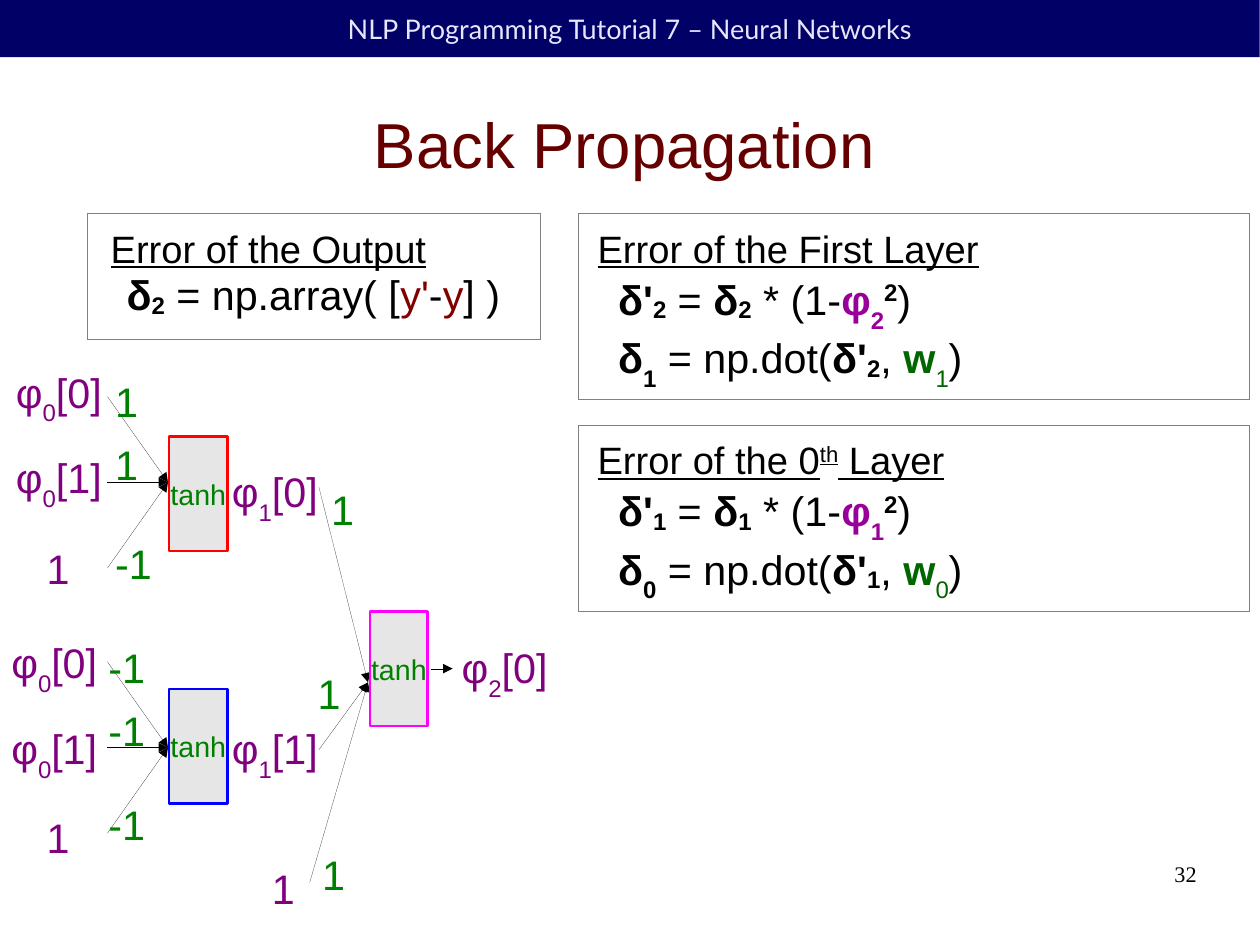
from lxml.etree import SubElement
from pptx import Presentation
from pptx.dml.color import RGBColor
from pptx.enum.shapes import MSO_CONNECTOR, MSO_SHAPE
from pptx.enum.text import MSO_ANCHOR, MSO_AUTO_SIZE, PP_ALIGN
from pptx.oxml.ns import qn
from pptx.util import Cm, Pt

PX = 9144
HUES = {
    "navy": "000066", "pale": "E6E6FF", "wine": "660000", "black": "000000",
    "gray": "808080", "light": "E6E6E6", "purple": "800080", "green": "008000",
    "violet": "990099", "forest": "006600", "maroon": "800000",
    "red": "FF0000", "blue": "0000FF", "pink": "FF00FF",
}
RGB = {name: RGBColor.from_string(code) for name, code in HUES.items()}

deck = Presentation()
deck.slide_width, deck.slide_height = Cm(28), Cm(21)
slide = deck.slides.add_slide(deck.slide_layouts[6])
shapes = slide.shapes


def write(spot, runs, size=26, hue="black", font="Arial", pad=(10, 5), shape=None,
          align=PP_ALIGN.LEFT, anchor=MSO_ANCHOR.TOP, wrap=False, grow=True):
    box = shape or shapes.add_textbox(*[n * PX for n in spot])
    frame = box.text_frame
    side, edge = pad[0] * PX, pad[1] * PX
    look = {
        "margin_left": side, "margin_right": side,
        "margin_top": edge, "margin_bottom": edge,
        "vertical_anchor": anchor, "word_wrap": wrap,
        "auto_size": MSO_AUTO_SIZE.SHAPE_TO_FIT_TEXT if grow else MSO_AUTO_SIZE.NONE,
    }
    for key, value in look.items():
        setattr(frame, key, value)
    line = frame.paragraphs[0]
    line.alignment = align
    for text, base, style in runs:
        run = line.add_run()
        run.text = text
        words = style.split()
        form = {"name": font, "size": Pt(size), "bold": "b" in words, "underline": "u" in words}
        for key, value in form.items():
            setattr(run.font, key, value)
        tint = [name for name in words if name in RGB]
        run.font.color.rgb = RGB[tint[0] if tint else hue]
        if base:
            run.font._element.set("baseline", str(base * 1000))


def block(spot, fill=None, edge=None, width=0):
    box = shapes.add_shape(MSO_SHAPE.RECTANGLE, *[n * PX for n in spot])
    box.shadow.inherit = False
    if fill:
        box.fill.solid()
        box.fill.fore_color.rgb = RGB[fill]
    else:
        box.fill.background()
    if edge:
        box.line.color.rgb = RGB[edge]
        box.line._get_or_add_ln().set("w", str(Pt(width)))
    else:
        box.line.fill.background()
    return box


bar = block((0, 0, 1102, 50), "navy")
write(None, [("NLP Programming Tutorial 7 – Neural Networks", 0, "")], 17, "pale", "Lato",
      shape=bar, align=PP_ALIGN.CENTER, anchor=MSO_ANCHOR.MIDDLE, wrap=True, grow=False)
write((50, 62, 992, 127), [("Back Propagation", 0, "")], 40, "wine", pad=(0, 0),
      align=PP_ALIGN.CENTER, anchor=MSO_ANCHOR.MIDDLE, wrap=True, grow=False)

wires = [(279, 656, 322, 597), (279, 426, 322, 597), (271, 772, 322, 597),
         (377, 585, 396, 585)]
for mid in (422, 654):
    wires += [(94, mid + step, 147, mid) for step in (-75, 0, 75)]
for x, y, right, low in wires:
    wire = shapes.add_connector(MSO_CONNECTOR.STRAIGHT, x * PX, y * PX, right * PX, low * PX)
    wire.line.color.rgb = RGB["black"]
    stroke = wire.line._get_or_add_ln()
    stroke.set("w", "0")
    SubElement(stroke, qn("a:tailEnd"), type="triangle")
    SubElement(wire._element.spPr, qn("a:effectLst"))

for x, y, wide, edge in [(148, 382, 51, "red"), (148, 603, 51, "blue"), (324, 535, 50, "pink")]:
    node = block((x, y, wide, 100), "light", edge, 1.45)
    write(None, [("tanh", 0, "")], 18, "green", pad=(11, 6), shape=node,
          align=PP_ALIGN.CENTER, anchor=MSO_ANCHOR.MIDDLE, grow=False)

for x, y, layer, item in [(4, 316, 0, 0), (4, 391, 0, 1), (0, 553, 0, 0), (0, 628, 0, 1),
                          (193, 403, 1, 0), (193, 628, 1, 1), (394, 557, 2, 0)]:
    write((x, y, 95, 62), [("φ", 0, ""), (str(layer), -33, ""), (f"[{item}]", 0, "")],
          hue="purple")

for x, y in [(31, 470), (31, 706), (228, 750)]:
    write((x, y, 40, 50), [("1", 0, "")], hue="purple")

for x, y, weight in [(91, 324, 1), (91, 379, 1), (91, 466, -1),
                     (85, 557, -1), (85, 612, -1), (85, 694, -1),
                     (268, 580, 1), (280, 419, 1), (272, 738, 1)]:
    write((x, y, 40 if weight > 0 else 52, 50), [(str(weight), 0, "")], hue="green")

block((77, 187, 396, 110), edge="gray")
write((87, 192, 296, 49), [("Error of the Output", 0, "u")], 24)
write((101, 231, 367, 62), [
    ("δ", 0, "b"), ("2", -8, "b"), (" = np.array( [", 0, ""), ("y'", 0, "maroon"),
    ("-", 0, ""), ("y", 0, "maroon"), ("] )", 0, "")])

first = [("Error of the First Layer", 0, "u")]
zeroth = [("Error of the 0", 0, "u"), ("th", 33, "u"), (" Layer", 0, "u")]
for top, head, wide, now, prev in [(187, first, 362, "2", "1"), (372, zeroth, 337, "1", "0")]:
    block((506, top, 587, 163), edge="gray")
    write((513, top + 5, wide, 47), head, 24, wrap=True)
    write((531, top + 48, 367, 62), [
        ("δ'", 0, "b"), (now, -8, "b"), (" = ", 0, ""), ("δ", 0, "b"), (now, -8, "b"),
        (" * (1-", 0, ""), ("φ", 0, "b violet"), (now, -33, "b violet"),
        ("2", 33, "b"), (")", 0, "")])
    write((531, top + 99, 367, 62), [
        ("δ", 0, "b"), (prev, -33, "b"), (" = np.dot(", 0, ""), ("δ'", 0, "b"),
        (now, -8, "b"), (", ", 0, ""), ("w", 0, "b forest"), (prev, -33, "forest"),
        (")", 0, "")])

write((790, 753, 257, 57), [("32", 0, "")], 14, font="Times New Roman", pad=(0, 0),
      align=PP_ALIGN.RIGHT, wrap=True, grow=False)

deck.save("out.pptx")
